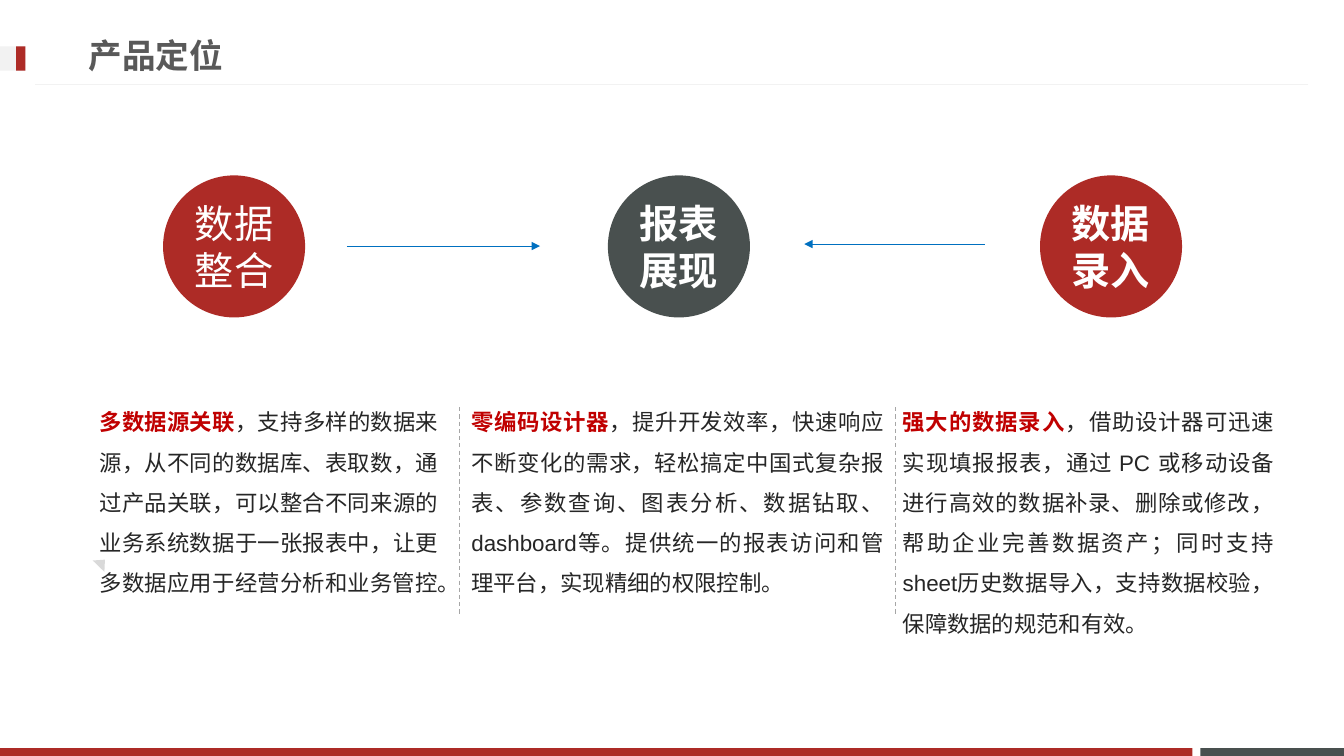
from lxml import etree
from pptx import Presentation
from pptx.dml.color import RGBColor
from pptx.enum.dml import MSO_LINE
from pptx.enum.shapes import MSO_CONNECTOR, MSO_SHAPE
from pptx.enum.text import MSO_ANCHOR, PP_ALIGN
from pptx.oxml.ns import qn
from pptx.util import Cm, Pt

RECTANGLE, OVAL, TRIANGLE = MSO_SHAPE.RECTANGLE, MSO_SHAPE.OVAL, MSO_SHAPE.ISOSCELES_TRIANGLE
STRAIGHT, DASH = MSO_CONNECTOR.STRAIGHT, MSO_LINE.DASH
MIDDLE, CENTER, JUSTIFY = MSO_ANCHOR.MIDDLE, PP_ALIGN.CENTER, PP_ALIGN.JUSTIFY

THEME = {
    "red": "AD2B26", "slate": "49504F", "pale": "F2F2F2", "corner": "D9D9D9",
    "divider": "A6A6A6", "arrow": "0070C0", "title": "595959",
    "lead": "C00000", "body": "262626", "white": "FFFFFF",
    "title_size": 24, "circle_size": 28, "body_size": 16,
    "font": "Arial", "light_font": "Calibri", "line_width": 0.75,
}

# Lengths are centimetres.
TITLE = "产品定位"
CIRCLES = [  # left, fill, lines, font, bold
    (4.11, "red", ("数据", "整合"), "light_font", False),
    (15.32, "slate", ("报表", "展现"), "font", True),
    (26.21, "red", ("数据", "录入"), "font", True),
]
COLUMNS = [  # left, width, height, lead, body
    (2.26, 9.04, 6.4, "多数据源关联",
     "，支持多样的数据来源，从不同的数据库、表取数，通过产品关联，可以整合不同来源的"
     "业务系统数据于一张报表中，让更多数据应用于经营分析和业务管控。"),
    (11.63, 10.9, 7.44, "零编码设计器",
     "，提升开发效率，快速响应不断变化的需求，轻松搞定中国式复杂报表、参数查询、图表分析、"
     "数据钻取、dashboard等。提供统一的报表访问和管理平台，实现精细的权限控制。"),
    (22.5, 9.86, 9.2, "强大的数据录入",
     "，借助设计器可迅速实现填报报表，通过 PC 或移动设备进行高效的数据补录、删除或修改，"
     "帮助企业完善数据资产；同时支持sheet历史数据导入，支持数据校验，保障数据的规范和有效。"),
]
BARS = [  # left, top, width, height, fill
    (30.25, 18.85, 3.62, 0.2, "slate"),
    (0, 18.85, 30.05, 0.2, "red"),
    (0, 1.17, 0.64, 0.61, "pale"),
    (0.41, 1.17, 0.23, 0.61, "red"),
]
ARROWS = [(8.74, 13.61, 6.2), (24.82, 20.27, 6.15)]  # from x, to x, y
DIVIDERS = [11.58, 22.56]
DIVIDER_TOP, DIVIDER_BOTTOM = 10.26, 15.47
CIRCLE_TOP, CIRCLE_SIZE = 4.42, 3.58
COLUMN_TOP = 9.83


def color(name):
    return RGBColor.from_string(THEME[name])


def add_figure(page, kind, left, top, width, height, fill):
    figure = page.shapes.add_shape(kind, Cm(left), Cm(top), Cm(width), Cm(height))
    figure.shadow.inherit = False
    figure.fill.solid()
    figure.fill.fore_color.rgb = color(fill)
    figure.line.fill.background()
    return figure


def add_line(page, start, end, ink, dash=None, arrow=False):
    line = page.shapes.add_connector(STRAIGHT, *map(Cm, start + end))
    line.line.color.rgb = color(ink)
    line.line.width = Pt(THEME["line_width"])
    if dash is not None:
        line.line.dash_style = dash
    if arrow:
        etree.SubElement(line.line._get_or_add_ln(), qn("a:tailEnd"), type="triangle")
    etree.SubElement(line._element.spPr, qn("a:effectLst"))


def add_span(para, text, ink, size, font="font", bold=False):
    span = para.add_run()
    span.text = text
    formats = {"name": THEME[font], "size": Pt(THEME[size]), "bold": bold}
    for key, value in formats.items():
        setattr(span.font, key, value)
    span.font.color.rgb = color(ink)


def add_box(page, left, top, width, height):
    box = page.shapes.add_textbox(Cm(left), Cm(top), Cm(width), Cm(height))
    box.text_frame.word_wrap = True
    return box.text_frame


def add_circle(page, left, fill, lines, font, bold):
    circle = add_figure(page, OVAL, left, CIRCLE_TOP, CIRCLE_SIZE, CIRCLE_SIZE, fill)
    frame = circle.text_frame
    formats = {"margin_left": 0, "margin_right": 0, "margin_top": 0,
               "margin_bottom": 0, "vertical_anchor": MIDDLE, "word_wrap": True}
    for key, value in formats.items():
        setattr(frame, key, value)
    for index, text in enumerate(lines):
        para = frame.add_paragraph() if index else frame.paragraphs[0]
        para.alignment = CENTER
        add_span(para, text, "white", "circle_size", font, bold)


def add_column(page, left, width, height, lead, body):
    para = add_box(page, left, COLUMN_TOP, width, height).paragraphs[0]
    para.alignment = JUSTIFY
    para.line_spacing = 1.5
    add_span(para, lead, "lead", "body_size", bold=True)
    add_span(para, body, "body", "body_size")


def main():
    deck = Presentation()
    deck.slide_width, deck.slide_height = Cm(33.87), Cm(19.05)
    page = deck.slides.add_slide(deck.slide_layouts[6])

    for bar in BARS:
        add_figure(page, RECTANGLE, *bar)
    add_line(page, (32.97, 2.13), (0.89, 2.13), "pale")
    title = add_box(page, 1.98, 0.66, 24.36, 1.45)
    title.vertical_anchor = MIDDLE
    add_span(title.paragraphs[0], TITLE, "title", "title_size", bold=True)

    corner = add_figure(page, TRIANGLE, 2.36, 14.07, 0.41, 0.23, "corner")
    corner.rotation = 44.2
    for circle in CIRCLES:
        add_circle(page, *circle)
    for x in DIVIDERS:
        add_line(page, (x, DIVIDER_TOP), (x, DIVIDER_BOTTOM), "divider", dash=DASH)
    for start, end, y in ARROWS:
        add_line(page, (start, y), (end, y), "arrow", arrow=True)
    for column in COLUMNS:
        add_column(page, *column)

    deck.save("out.pptx")


if __name__ == "__main__":
    main()
